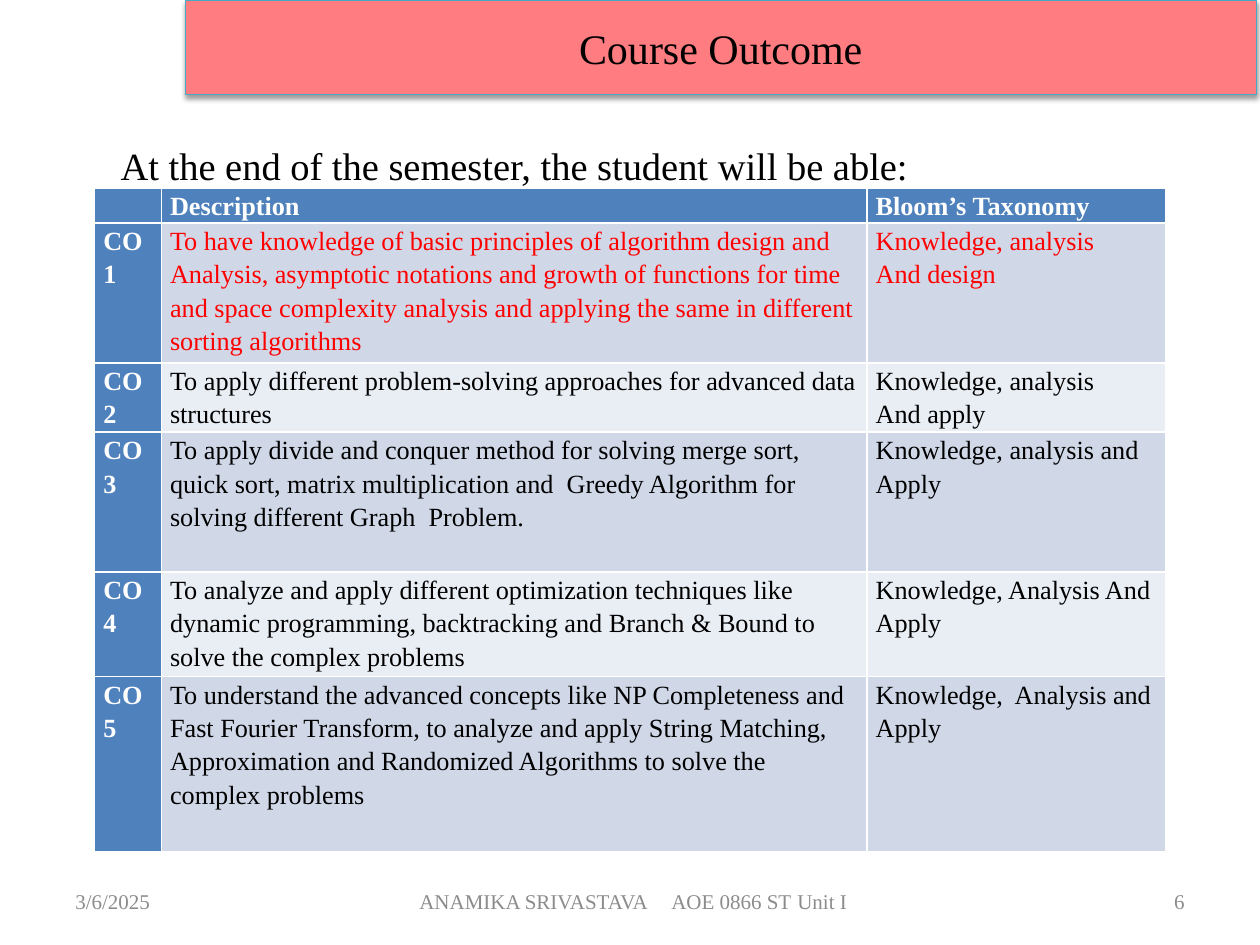
from lxml.etree import SubElement as Sub
from pptx import Presentation as Deck
from pptx.dml.color import RGBColor as RGB
from pptx.enum.text import MSO_ANCHOR as Anchor, MSO_AUTO_SIZE as Fit, PP_ALIGN as Align
from pptx.oxml import parse_xml as to_xml
from pptx.oxml.ns import nsdecls, qn
from pptx.util import Inches as In, Pt

FACE = "Times New Roman"
HEAD = ["", "Description", "Bloom’s Taxonomy"]
ROWS = [
    ("CO1", "To have knowledge of basic principles of algorithm design and Analysis, "
     "asymptotic notations and growth of functions for time and space complexity "
     "analysis and applying the same in different sorting algorithms",
     "Knowledge, analysis\nAnd design"),
    ("CO2", "To apply different problem-solving approaches for advanced data structures",
     "Knowledge, analysis\nAnd apply"),
    ("CO3", "To apply divide and conquer method for solving merge sort, quick sort, "
     "matrix multiplication and  Greedy Algorithm for solving different Graph  Problem.",
     "Knowledge, analysis and Apply"),
    ("CO4", "To analyze and apply different optimization techniques like dynamic "
     "programming, backtracking and Branch & Bound to solve the complex problems",
     "Knowledge, Analysis And Apply"),
    ("CO5", "To understand the advanced concepts like NP Completeness and Fast Fourier "
     "Transform, to analyze and apply String Matching, Approximation and Randomized "
     "Algorithms to solve the complex problems",
     "Knowledge,  Analysis and Apply"),
]


def tint(code):
    return RGB.from_string(code)


def apply(item, form):
    for key, value in form.items():
        setattr(item, key, value)


class Page:
    cell = 0.1

    def __init__(self, deck):
        self.slide = deck.slides.add_slide(deck.slide_layouts[5])

    def area(self, *units):
        return [In(unit * self.cell) for unit in units]

    def put(self, frame, text, size, color="000000", bold=False, para=None):
        frame.word_wrap = True
        frame.text = text
        for line in frame.paragraphs:
            apply(line, para or {})
            apply(line.font, {"name": FACE, "size": Pt(size), "bold": bold})
            line.font.color.rgb = tint(color)

    def title(self, text, units):
        box = self.slide.shapes.title
        apply(box, dict(zip(("left", "top", "width", "height"), self.area(*units))))
        box.fill.solid()
        box.fill.fore_color.rgb = tint("FF7C80")
        box.line.color.rgb = tint("46AAC5")
        box.line.width = Pt(0.75)
        box._element.spPr.append(to_xml(
            f'<a:effectLst {nsdecls("a")}><a:outerShdw blurRad="39400" dist="20300" '
            'dir="5400000" rotWithShape="0"><a:srgbClr val="000000">'
            '<a:alpha val="38000"/></a:srgbClr></a:outerShdw></a:effectLst>'))
        apply(box.text_frame, {"auto_size": Fit.NONE, "vertical_anchor": Anchor.MIDDLE})
        self.put(box.text_frame, text, 24, para={"alignment": Align.CENTER})

    def text(self, text, units, size, color="000000", para=None, anchor=Anchor.TOP, tabs=()):
        box = self.slide.shapes.add_textbox(*self.area(*units))
        frame = box.text_frame
        frame.vertical_anchor = anchor
        if tabs:
            props = frame.paragraphs[0]._p.get_or_add_pPr()
            stops = Sub(props, qn("a:tabLst"))
            for stop in self.area(*tabs):
                Sub(stops, qn("a:tab"), pos=str(int(stop)), algn="l")
        self.put(frame, text, size, color, para=para)

    def table(self, units, wide, tall):
        grid = self.slide.shapes.add_table(len(tall), len(wide), *self.area(*units)).table
        grid.first_col = True
        for col, size in zip(grid.columns, self.area(*wide)):
            col.width = size
        for row, size in zip(grid.rows, self.area(*tall)):
            row.height = size
        pad = {"margin_left": In(0.07), "margin_right": In(0.07),
               "margin_top": 0, "margin_bottom": 0}
        for y, row in enumerate([HEAD, *ROWS]):
            for x, text in enumerate(row):
                cell = grid.cell(y, x)
                apply(cell, pad)
                key = y == 0 or x == 0
                cell.fill.solid()
                cell.fill.fore_color.rgb = tint(
                    "4F81BD" if key else "D0D8E8" if y % 2 else "E9EDF4")
                ink = "FFFFFF" if key else "FF0000" if y == 1 else "000000"
                self.put(cell.text_frame, text, 15, ink, key, {"line_spacing": 1.15})


def main():
    deck = Deck()
    apply(deck, {"slide_width": In(10), "slide_height": In(7.5)})
    page = Page(deck)
    page.table((7.5, 14.9, 85, 52.7), (5.3, 56, 23.7), (2.8, 11.1, 5.5, 11.1, 8.3, 13.9))
    foot = {"size": 12, "color": "8C8C8C", "anchor": Anchor.MIDDLE}
    page.text("3/6/2025", (5, 69.5, 23.3, 4), **foot)
    page.text("ANAMIKA SRIVASTAVA\tAOE 0866 ST\tUnit I", (32.3, 69.5, 50.2, 4),
              tabs=(23.3, 39.5), **foot)
    page.text("6", (71.7, 69.5, 23.3, 4), para={"alignment": Align.RIGHT}, **foot)
    page.title("Course Outcome", (14.7, 0, 85, 7.5))
    page.text("At the end of the semester, the student will be able:", (8.6, 10.2, 85, 5),
              22, para={"line_spacing": 1.15, "space_after": Pt(10)})
    deck.save("out.pptx")


if __name__ == "__main__":
    main()
